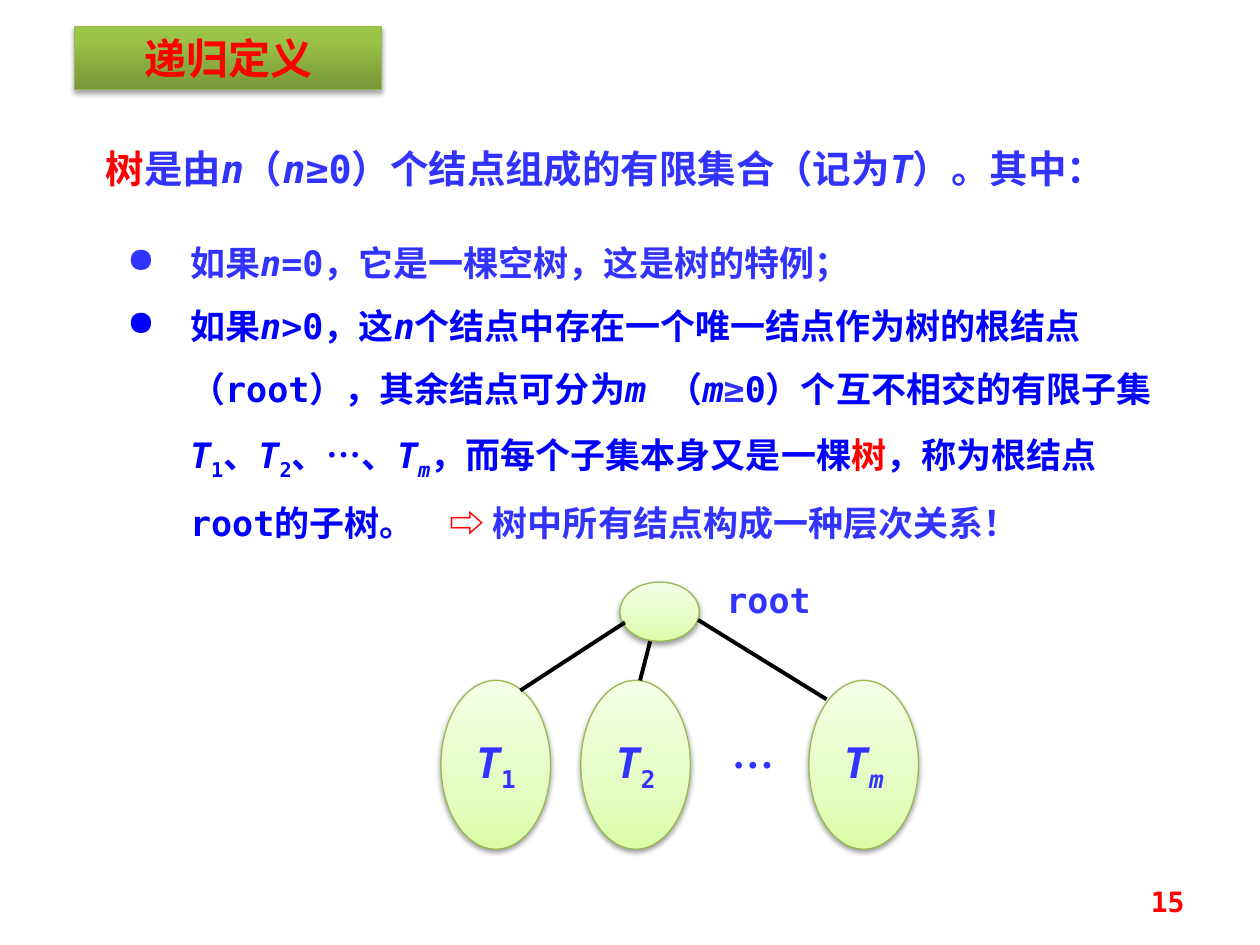
from lxml.etree import SubElement
from pptx import Presentation
from pptx.dml.color import RGBColor
from pptx.enum.shapes import MSO_CONNECTOR, MSO_SHAPE
from pptx.enum.text import MSO_ANCHOR, PP_ALIGN
from pptx.oxml import parse_xml
from pptx.oxml.ns import nsdecls, qn
from pptx.util import Inches, Pt

RED = RGBColor(0xFF, 0x00, 0x00)
VIOLET = RGBColor(0x33, 0x33, 0xFF)
BLUE = RGBColor(0x00, 0x00, 0xFF)
BLACK = RGBColor(0x00, 0x00, 0x00)
EDGE = RGBColor(0x98, 0xB9, 0x55)
MONO, CJK, SERIF = "DejaVu Sans Mono", "Noto Sans CJK SC", "Times New Roman"

# Gradient stops run from bottom to top: (percent, colour)
PALE_GREEN = [(0, RGBColor(0xDA, 0xFD, 0xA7)), (35, RGBColor(0xE4, 0xFC, 0xC2)),
              (100, RGBColor(0xF5, 0xFF, 0xE7))]
DEEP_GREEN = [(0, RGBColor(0x77, 0x97, 0x37)), (80, RGBColor(0x9B, 0xC3, 0x48)),
              (100, RGBColor(0x9D, 0xC7, 0x46))]

# Runs: (text, colour, style), where i is italic and s is subscript
DEFINITION = [
    ("树", RED, ""), ("是由", VIOLET, ""), ("n", VIOLET, "i"), ("（", VIOLET, ""),
    ("n", VIOLET, "i"), ("≥0）个结点组成的有限集合（记为", VIOLET, ""),
    ("T", VIOLET, "i"), ("）。其中：", VIOLET, ""),
]
CASES = [
    [("如果", VIOLET, ""), ("n", VIOLET, "i"),
     ("=0，它是一棵空树，这是树的特例；", VIOLET, "")],
    [("如果", BLUE, ""), ("n", BLUE, "i"), (">0，这", BLUE, ""), ("n", BLUE, "i"),
     ("个结点中存在一个唯一结点作为树的根结点（root），其余结点可分为", BLUE, ""),
     ("m ", BLUE, "i"), ("（", BLUE, ""), ("m", BLUE, "i"), ("≥", VIOLET, ""),
     ("0）个互不相交的有限子集", BLUE, ""), ("T", BLUE, "i"), ("1", BLUE, "s"),
     ("、", BLUE, ""), ("T", BLUE, "i"), ("2", BLUE, "s"), ("、…、", BLUE, ""),
     ("T", BLUE, "i"), ("m", BLUE, "is"), ("，而每个子集本身又是一棵", BLUE, ""),
     ("树", RED, ""), ("，称为根结点root的子树。　", BLUE, ""), ("⇨ ", RED, ""),
     ("树中所有结点构成一种层次关系！", VIOLET, "")],
]
SUBTREES = [(3.5, "1", "s"), (4.61, "2", "s"), (6.42, "m", "is")]  # left, index, style
BRANCHES = [((4.96, 4.94), (4.13, 5.48)), ((5.16, 5.09), (5.08, 5.4)),
            ((5.54, 4.92), (6.56, 5.55))]


def add_runs(para, runs, size, font=MONO):
    for text, colour, style in runs:
        span = para.add_run()
        span.text = text
        span.font.name, span.font.size = font, Pt(size)
        span.font.bold, span.font.italic = True, "i" in style
        span.font.color.rgb = colour
        properties = span.font._element
        SubElement(properties, qn("a:ea")).set("typeface", CJK)
        if "s" in style:
            properties.set("baseline", "-25000")


def add_text(page, place, runs, size, align=None, font=MONO):
    box = page.shapes.add_textbox(*map(Inches, place))
    box.text_frame.word_wrap = True
    para = box.text_frame.paragraphs[0]
    para.alignment = align
    add_runs(para, runs, size, font)
    return box


def indent(para, left, first):
    properties = para._p.get_or_add_pPr()
    properties.set("marL", str(Inches(left)))
    properties.set("indent", str(Inches(first)))
    return properties


def add_green_shape(page, kind, place, stops, alpha, distance):
    shape = page.shapes.add_shape(kind, *map(Inches, place))
    shape.line.color.rgb, shape.line.width = EDGE, Pt(0.75)
    marks = "".join(f'<a:gs pos="{pos * 1000}"><a:srgbClr val="{colour}"/></a:gs>'
                    for pos, colour in stops)
    shape._element.spPr.find(qn("a:prstGeom")).addnext(parse_xml(
        f'<a:gradFill {nsdecls("a")} rotWithShape="1"><a:gsLst>{marks}</a:gsLst>'
        '<a:lin ang="16200000" scaled="0"/></a:gradFill>'))
    shape._element.spPr.append(parse_xml(
        f'<a:effectLst {nsdecls("a")}><a:outerShdw blurRad="{Pt(3.1)}" '
        f'dist="{Pt(distance)}" dir="5400000" rotWithShape="0"><a:srgbClr val="000000">'
        f'<a:alpha val="{alpha * 1000}"/></a:srgbClr></a:outerShdw></a:effectLst>'))
    para = shape.text_frame.paragraphs[0]
    para.alignment = PP_ALIGN.CENTER
    return shape


def main():
    deck = Presentation()
    deck.slide_width, deck.slide_height = Inches(10), Inches(7.5)
    page = deck.slides.add_slide(deck.slide_layouts[6])

    # Definition
    box = add_text(page, (0.43, 0.99, 9.37, 0.54), DEFINITION, 22, PP_ALIGN.JUSTIFY)
    para = box.text_frame.paragraphs[0]
    para.line_spacing = 1.3
    indent(para, 0, 0.31)

    # Two cases
    box = add_text(page, (0.91, 1.7, 8.35, 2.57), CASES[0], 20)
    add_runs(box.text_frame.add_paragraph(), CASES[1], 20)
    for para in box.text_frame.paragraphs:
        para.line_spacing = 1.5
        SubElement(indent(para, 0.5, -0.5), qn("a:buChar")).set("char", "●")

    # Tree: root, subtrees and branches
    add_green_shape(page, MSO_SHAPE.OVAL, (4.92, 4.62, 0.63, 0.47), PALE_GREEN, 38, 1.6)
    add_text(page, (5.55, 4.54, 1.1, 0.43), [("root", VIOLET, "")], 20, PP_ALIGN.CENTER)
    for left, index, style in SUBTREES:
        oval = add_green_shape(page, MSO_SHAPE.OVAL, (left, 5.4, 0.87, 1.34),
                               PALE_GREEN, 38, 1.6)
        oval.text_frame.word_wrap = False
        add_runs(oval.text_frame.paragraphs[0],
                 [("T", VIOLET, "i"), (index, VIOLET, style)], 24)
    for start, end in BRANCHES:
        branch = page.shapes.add_connector(MSO_CONNECTOR.STRAIGHT,
                                           *map(Inches, start + end))
        branch.line.color.rgb, branch.line.width = BLACK, Pt(2.25)
        SubElement(branch._element.spPr, qn("a:effectLst"))
    add_text(page, (5.71, 5.72, 0.47, 0.5), [("…", VIOLET, "")], 24,
             PP_ALIGN.CENTER, SERIF)

    # Title and page number
    title = add_green_shape(page, MSO_SHAPE.RECTANGLE, (0.59, 0.21, 2.44, 0.5),
                            DEEP_GREEN, 35, 1.8)
    add_runs(title.text_frame.paragraphs[0], [("递归定义", RED, "")], 24, CJK)
    number = add_text(page, (7.17, 6.95, 2.33, 0.4), [("15", RED, "")], 16,
                      PP_ALIGN.RIGHT)
    number.text_frame.vertical_anchor = MSO_ANCHOR.MIDDLE

    deck.save("out.pptx")


if __name__ == "__main__":
    main()
